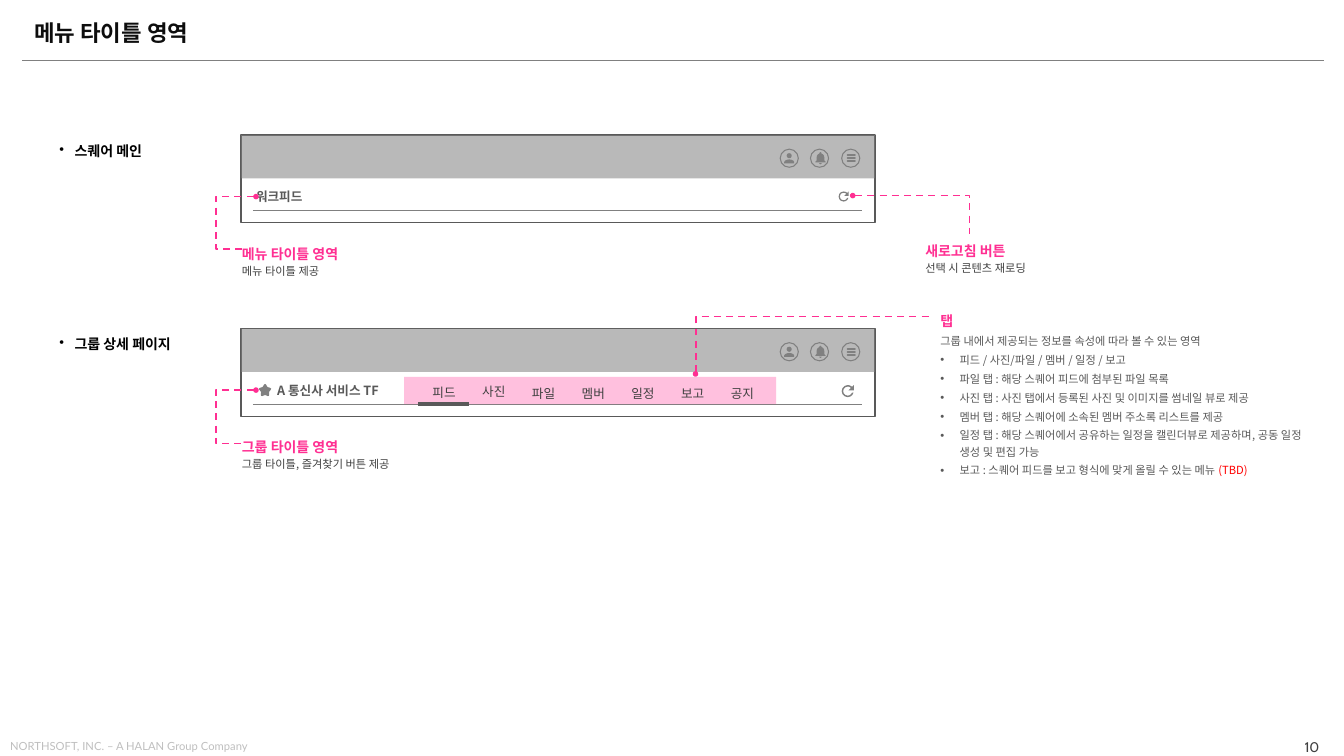
from dataclasses import dataclass

import pptx
import pptx.dml.color
import pptx.enum.dml
import pptx.enum.shapes
import pptx.enum.text
import pptx.oxml.ns
import pptx.util
from lxml import etree
from pptx.util import Inches

KOREAN = "Noto Sans CJK KR"
PINK, GRAY, DARK, TEXT = "FF2F92", "808080", "595959", "404040"
ROW_STEP = 1.92
SHAPE = pptx.enum.shapes.MSO_SHAPE
CONNECTOR = pptx.enum.shapes.MSO_CONNECTOR
ALIGN = pptx.enum.text.PP_ALIGN
qn = pptx.oxml.ns.qn

# Icon contours: pairs are corners, sixes are cubic curves
PERSON = [[(5, 5), (6.4, 5, 7.5, 3.9, 7.5, 2.5), (7.5, 1.1, 6.4, 0, 5, 0),
           (3.6, 0, 2.5, 1.1, 2.5, 2.5), (2.5, 3.9, 3.6, 5, 5, 5)],
          [(5, 6.2), (3.3, 6.2, 0, 7.1, 0, 8.8), (0, 10), (10, 10), (10, 8.8),
           (10, 7.1, 6.7, 6.2, 5, 6.2)]]
BELL = [[(5, 12), (5.7, 12, 6.2, 11.4, 6.2, 10.8), (3.8, 10.8), (3.8, 11.4, 4.3, 12, 5, 12)],
        [(8.8, 8.3), (8.8, 5.2), (8.8, 3.4, 7.8, 1.8, 6, 1.3), (6, 0.9),
         (6, 0.4, 5.5, 0, 5, 0), (4.5, 0, 4, 0.4, 4, 0.9), (4, 1.3),
         (2.2, 1.8, 1.2, 3.4, 1.2, 5.2), (1.2, 8.3), (0, 9.5), (0, 10.1), (10, 10.1), (10, 9.5)]]
REFRESH = [[(13.65, 2.35), (12.2, 0.9, 10.2, 0, 8, 0), (3.58, 0, 0, 3.58, 0, 8),
            (0, 12.42, 3.58, 16, 8, 16), (11.73, 16, 14.84, 13.45, 15.73, 10), (13.65, 10),
            (12.83, 12.33, 10.6, 14, 8, 14), (4.69, 14, 2, 11.3, 2, 8),
            (2, 4.69, 4.69, 2, 8, 2), (9.66, 2, 11.14, 2.69, 12.22, 3.78),
            (9, 7), (16, 7), (16, 0)]]


@dataclass
class Style:
    size: float
    color: str
    bold: bool = False
    font: str = KOREAN
    spacing: float = 1.0
    after: float = 0
    align: ALIGN = ALIGN.LEFT


@dataclass
class Callout:
    left: float
    top: float
    heading: str
    width: float
    note: str = ""


@dataclass
class Leader:
    start: tuple[float, float]
    end: tuple[float, float]
    bend: int | None  # thousandths of a percent; None means one corner


CALLOUT_HEAD = Style(10, PINK, True, spacing=1.5, after=2)
CALLOUT_NOTE = Style(8, TEXT, after=2)
SECTION = Style(10, "000000", True, spacing=1.5)
BODY = Style(8, DARK, spacing=1.2, after=2)
MENU = Style(9, DARK, True)
TAB = Style(9, TEXT, align=ALIGN.CENTER)

SECTIONS = [("스퀘어 메인", 1.15), ("그룹 상세 페이지", 1.47)]
CALLOUTS = [Callout(9.18, 2.32, "새로고침 버튼", 0.89, "선택 시 콘텐츠 재로딩"),
            Callout(2.4, 2.35, "메뉴 타이틀 영역", 1.08, "메뉴 타이틀 제공"),
            Callout(2.4, 4.27, "그룹 타이틀 영역", 1.08, "그룹 타이틀, 즐겨찾기 버튼 제공"),
            Callout(9.33, 3.02, "탭", 0.19)]
LEADERS = [Leader((2.54, 1.95), (2.4, 2.47), 285000), Leader((2.54, 3.87), (2.4, 4.4), 285000),
           Leader((6.9, 3.71), (9.25, 3.14), 300), Leader((8.46, 1.94), (9.62, 2.32), None)]
TABS = [("피드", 3.82), ("사진", 3.81), ("파일", 3.83), ("멤버", 3.83),
        ("일정", 3.83), ("보고", 3.83), ("공지", 3.83)]
TAB_INTRO = "그룹 내에서 제공되는 정보를 속성에 따라 볼 수 있는 영역"
TAB_NOTES = ["피드 / 사진/파일 / 멤버 / 일정 / 보고",
             "파일 탭 : 해당 스퀘어 피드에 첨부된 파일 목록",
             "사진 탭 : 사진 탭에서 등록된 사진 및 이미지를 썸네일 뷰로 제공",
             "멤버 탭 : 해당 스퀘어에 소속된 멤버 주소록 리스트를 제공",
             "일정 탭 : 해당 스퀘어에서 공유하는 일정을 캘린더뷰로 제공하며, 공동 일정 생성 및 편집 가능",
             "보고 : 스퀘어 피드를 보고 형식에 맞게 올릴 수 있는 메뉴 "]


def rgb(color: str) -> pptx.dml.color.RGBColor:
    return pptx.dml.color.RGBColor.from_string(color)


def write(para, text: str, style: Style, bullet: float = 0) -> None:
    """Fill a paragraph; bullet is the hanging indent in inches."""
    para.text = text
    props = para._p.get_or_add_pPr()
    props.set("marL", str(Inches(bullet)))
    props.set("indent", str(-Inches(bullet)))
    if bullet:
        etree.SubElement(props, qn("a:buChar")).set("char", "•")
    else:
        etree.SubElement(props, qn("a:buNone"))
    para.alignment, para.line_spacing = style.align, style.spacing
    para.space_before, para.space_after = pptx.util.Pt(0), pptx.util.Pt(style.after)
    font = para.font
    font.size, font.bold, font.name = pptx.util.Pt(style.size), style.bold, style.font
    font.color.rgb = rgb(style.color)
    defaults = props.find(qn("a:defRPr"))
    defaults.set("kern", "0")
    etree.SubElement(defaults, qn("a:ea")).set("typeface", style.font)


def set_box(box, left: float, top: float, width: float, height: float,
            wrap: bool = True, inset: float = 0):
    """Place a text shape and return its frame."""
    box.left, box.top, box.width, box.height = map(Inches, (left, top, width, height))
    frame = box.text_frame
    frame.word_wrap = wrap
    frame.auto_size = pptx.enum.text.MSO_AUTO_SIZE.SHAPE_TO_FIT_TEXT
    frame.vertical_anchor = pptx.enum.text.MSO_ANCHOR.TOP
    frame.margin_left = frame.margin_right = frame.margin_top = frame.margin_bottom = Inches(inset)
    return frame


def add_text(page, text: str, style: Style, left: float, top: float, width: float,
             height: float, wrap: bool = True, inset: float = 0) -> None:
    box = page.shapes.add_textbox(0, 0, 0, 0)
    write(set_box(box, left, top, width, height, wrap, inset).paragraphs[0], text, style)


def add_block(shapes, kind, left: float, top: float, width: float, height: float,
              fill: str = "", line: str = "", weight: float = 0.75, alpha: int = 100):
    block = shapes.add_shape(kind, *map(Inches, (left, top, width, height)))
    block.shadow.inherit = False
    if fill:
        block.fill.solid()
        block.fill.fore_color.rgb = rgb(fill)
        if alpha < 100:
            tint = block._element.spPr.find(qn("a:solidFill"))[0]
            etree.SubElement(tint, qn("a:alpha")).set("val", str(alpha * 1000))
    else:
        block.fill.background()
    if line:
        block.line.color.rgb, block.line.width = rgb(line), pptx.util.Pt(weight)
    else:
        block.line.fill.background()
    return block


def add_line(shapes, start: tuple[float, float], end: tuple[float, float], color: str = GRAY,
             weight: float = 0.75, kind=CONNECTOR.STRAIGHT):
    line = shapes.add_connector(kind, *map(Inches, (*start, *end)))
    line.line.color.rgb, line.line.width = rgb(color), pptx.util.Pt(weight)
    etree.SubElement(line._element.spPr, qn("a:effectLst"))
    return line


def add_leader(page, leader: Leader) -> None:
    line = add_line(page.shapes, leader.start, leader.end, PINK, 1.25, CONNECTOR.ELBOW)
    line.line.dash_style = pptx.enum.dml.MSO_LINE.DASH
    head = etree.SubElement(line.line._get_or_add_ln(), qn("a:headEnd"))
    for name, value in (("type", "oval"), ("w", "sm"), ("len", "sm")):
        head.set(name, value)
    geometry = line._element.spPr.find(qn("a:prstGeom"))
    if leader.bend is None:
        geometry.set("prst", "bentConnector2")
    else:
        guide = etree.SubElement(geometry.find(qn("a:avLst")), qn("a:gd"))
        guide.set("name", "adj1")
        guide.set("fmla", f"val {leader.bend}")


def flatten(contour: list[tuple], steps: int = 3) -> list[tuple[float, float]]:
    points = [contour[0]]
    for part in contour[1:]:
        if len(part) == 2:
            points.append(part)
            continue
        nodes = [points[-1], part[:2], part[2:4], part[4:]]
        for t in (step / steps for step in range(1, steps + 1)):
            weights = ((1 - t) ** 3, 3 * t * (1 - t) ** 2, 3 * t * t * (1 - t), t ** 3)
            points.append(tuple(sum(w * n[axis] for w, n in zip(weights, nodes)) for axis in (0, 1)))
    return points


def add_icon(shapes, contours: list, left: float, top: float, unit: float) -> None:
    outlines = [[(Inches(left + x * unit), Inches(top + y * unit)) for x, y in flatten(contour)]
                for contour in contours]
    builder = shapes.build_freeform(*outlines[0][0], scale=1.0)
    for number, outline in enumerate(outlines):
        if number:
            builder.move_to(*outline[0])
        builder.add_line_segments(outline[1:], close=True)
    icon = builder.convert_to_shape()
    icon.shadow.inherit = False
    icon.fill.solid()
    icon.fill.fore_color.rgb = rgb(GRAY)
    icon.line.fill.background()


def add_panel(page, top: float) -> None:
    """App header: three round buttons, frame, divider and gray bar."""
    icons = page.shapes.add_group_shape().shapes
    for left in (7.74, 8.04, 8.35):
        add_block(icons, SHAPE.OVAL, left, top + 0.15, 0.18, 0.18, "FFFFFF", GRAY)
    add_icon(icons, PERSON, 7.78, top + 0.19, 0.01)
    add_icon(icons, BELL, 8.09, top + 0.18, 0.01)
    for bar in range(3):
        y = top + 0.21 + 0.03 * bar
        line = add_line(icons, (8.41, y), (8.48, y), weight=1.5)
        line.line._get_or_add_ln().set("cap", "rnd")
    add_block(page.shapes, SHAPE.RECTANGLE, 2.39, top + 0.01, 6.29, 0.87, line=DARK, weight=1)
    add_line(page.shapes, (2.51, top + 0.76), (8.55, top + 0.76))
    add_block(page.shapes, SHAPE.RECTANGLE, 2.39, top + 0.01, 6.29, 0.43, GRAY, alpha=55)


def main() -> None:
    deck = pptx.Presentation()
    deck.slide_width, deck.slide_height = Inches(40 / 3), Inches(7.5)
    page = deck.slides.add_slide(deck.slide_layouts[1])
    title, tab_list = page.placeholders

    # Title, section headings and tab description
    write(set_box(title, 0.3, 0.15, 1.81, 0.35, False, 0.04).paragraphs[0],
          "메뉴 타이틀 영역", Style(16, "0D0D0D", True))
    for row, (heading, width) in enumerate(SECTIONS):
        place = (0.59, 1.33 + ROW_STEP * row, width, 0.25)
        box = add_block(page.shapes, SHAPE.RECTANGLE, *place)
        write(set_box(box, *place).paragraphs[0], heading, SECTION, 0.15)
    frame = set_box(tab_list, 9.33, 3.29, 3.7, 1.46)
    write(frame.paragraphs[0], TAB_INTRO, BODY)
    for note in TAB_NOTES:
        para = frame.add_paragraph()
        write(para, note, BODY, 0.19)
    span = para.add_run()
    span.text = "(TBD)"
    span.font.color.rgb = rgb("FF0000")

    # Header rule and footer
    add_line(page.shapes, (0.22, 0.6), (13.14, 0.6))
    add_text(page, "10", Style(10, TEXT, font="Cabin", align=ALIGN.RIGHT),
             12.42, 7.29, 0.71, 0.21, inset=0.04)
    add_text(page, "NORTHSOFT, INC. – A HALAN Group Company", Style(8, "BFBFBF", font="Lato"),
             0.06, 7.29, 3.59, 0.21, inset=0.04)

    # Panels with their menu titles
    for row in range(2):
        add_panel(page, 1.33 + ROW_STEP * row)
    add_text(page, "워크피드", MENU, 2.54, 1.87, 2.17, 0.15)
    add_text(page, "A 통신사 서비스 TF", MENU, 2.75, 3.8, 2.17, 0.15)
    star = add_block(page.shapes, SHAPE.STAR_5_POINT, 2.58, 3.82, 0.1, 0.1, GRAY, GRAY, 1.5)
    star.adjustments[0] = 0.29
    add_icon(page.shapes, REFRESH, 8.32, 1.9, 0.1 / 16)
    add_icon(page.shapes, REFRESH, 8.35, 3.82, 0.12 / 16)

    # Tab strip
    add_block(page.shapes, SHAPE.RECTANGLE, 4.01, 3.74, 3.69, 0.27, PINK, alpha=30)
    for number, (label, top) in enumerate(TABS):
        add_text(page, label, TAB, 3.91 + 2.96 / 6 * number, top, 0.99, 0.15)
    add_line(page.shapes, (4.15, 4.01), (4.65, 4.01), DARK, 3)

    # Callouts and leaders
    for callout in CALLOUTS:
        add_text(page, callout.heading, CALLOUT_HEAD, callout.left, callout.top,
                 callout.width, 0.25, wrap=False)
        if callout.note:
            add_text(page, callout.note, CALLOUT_NOTE, callout.left, callout.top + 0.27, 1.73, 0.13)
    for leader in LEADERS:
        add_leader(page, leader)

    deck.save("out.pptx")


if __name__ == "__main__":
    main()
